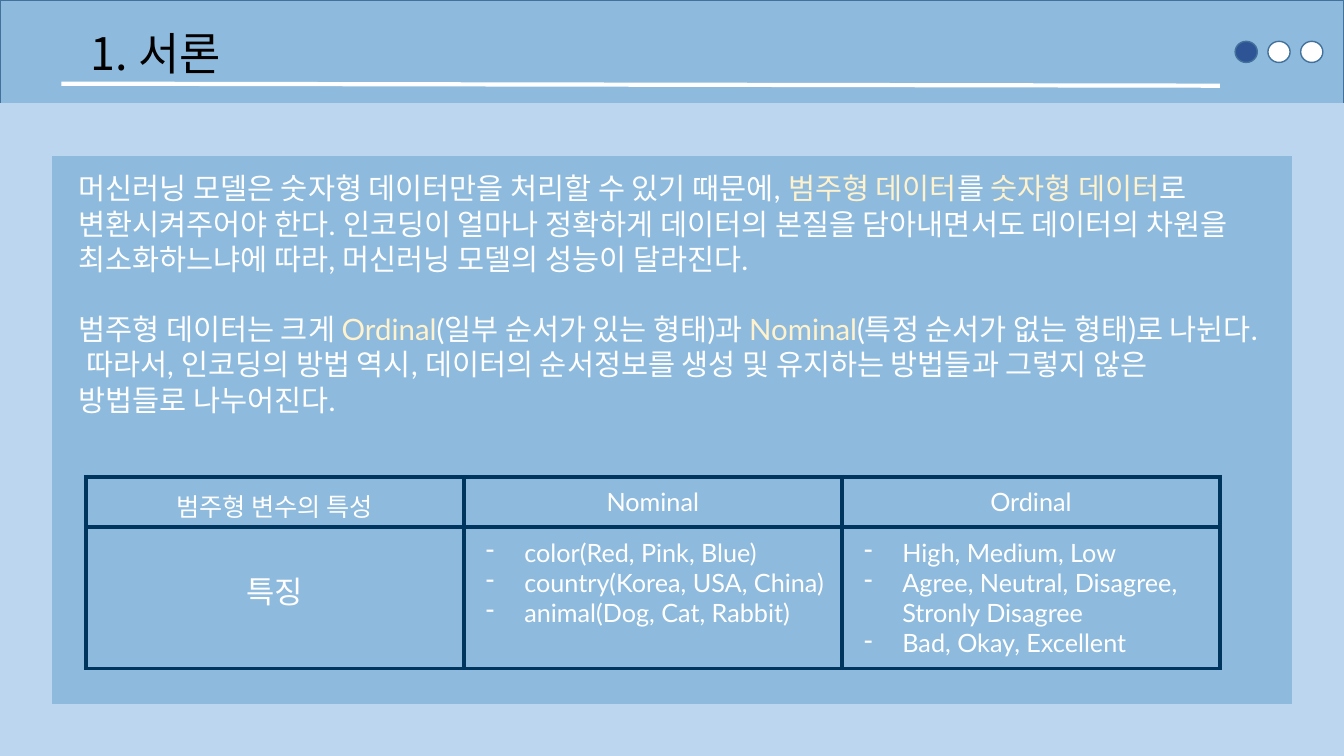
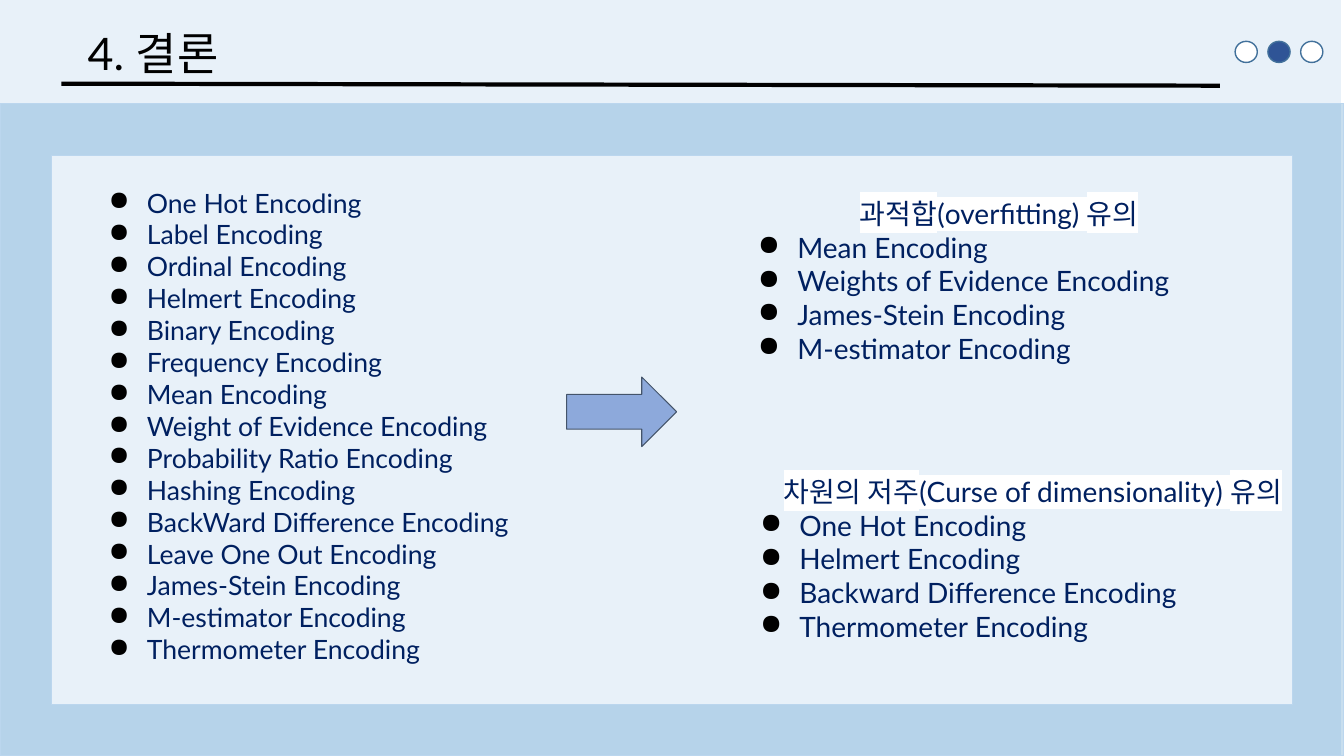
"""Build two slides on categorical data encoding: introduction and conclusion."""
from lxml.etree import SubElement
from pptx import Presentation
from pptx.dml.color import RGBColor
from pptx.enum.shapes import MSO_CONNECTOR, MSO_SHAPE as SHAPE
from pptx.enum.text import MSO_ANCHOR, MSO_AUTO_SIZE, PP_ALIGN as ALIGN
from pptx.oxml.ns import qn
from pptx.util import Inches, Pt

WHITE, BLACK, CREAM = "FFFFFF", "000000", "FFF2CC"
NAVY, TABLE_BLUE, ACTIVE_BLUE = "002060", "00355D", "2F5496"
OUTLINE, PALE_BLUE = "42719B", "BBD6EE"
FONT = "Lato"
rgb = RGBColor.from_string


def paint(shape, fill, line=None, opacity=100, width=1):
    """Set fill, opacity and outline of a shape and drop its shadow."""
    shape.shadow.inherit = False
    shape.fill.solid()
    shape.fill.fore_color.rgb = rgb(fill)
    if opacity < 100:
        color = shape.element.spPr.find(qn("a:solidFill"))[0]
        SubElement(color, qn("a:alpha"), val=str(opacity * 1000))
    if line:
        shape.line.color.rgb = rgb(line)
        shape.line.width = Pt(width)
    else:
        shape.line.fill.background()


def write(frame, lines, size, color, align=ALIGN.LEFT, bullet=None, bullet_color=BLACK, hanging=0.38):
    """Add paragraphs, with parts between bars in cream, and return the last."""
    for line in lines:
        paragraph = frame.add_paragraph() if frame.text else frame.paragraphs[0]
        for index, piece in enumerate(line.split("|")):
            run = paragraph.add_run()
            run.text = piece
            if index % 2:
                run.font.color.rgb = rgb(CREAM)
        paragraph.alignment = align
        if bullet:
            props = paragraph._p.get_or_add_pPr()
            props.set("marL", str(Inches(0.5)))
            props.set("indent", str(-Inches(hanging)))
            SubElement(SubElement(props, qn("a:buClr")), qn("a:srgbClr"), val=bullet_color)
            if bullet == "arabicPeriod":
                SubElement(props, qn("a:buAutoNum"), type=bullet)
            else:
                SubElement(props, qn("a:buChar"), char=bullet)
        paragraph.font.name = FONT
        paragraph.font.size = Pt(size)
        paragraph.font.color.rgb = rgb(color)
    return paragraph


prs = Presentation()
prs.slide_width, prs.slide_height = Inches(13.33), Inches(7.5)

sections = [
    dict(heading="서론", number="arabicPeriod", left=0, back=("066AB5", OUTLINE, 45),
         border=(PALE_BLUE, PALE_BLUE, 100), rule=WHITE),
    dict(heading="4. 결론", number=None, left=-0.03, back=("DDEAF6", None, 65),
         border=("066AB5", PALE_BLUE, 22), rule=BLACK),
]
slides = []
for position, section in enumerate(sections):
    slide = prs.slides.add_slide(prs.slide_layouts[5])
    slides.append(slide)
    backdrop = slide.shapes.add_shape(
        SHAPE.RECTANGLE, Inches(section["left"]), 0, prs.slide_width, prs.slide_height)
    paint(backdrop, *section["back"])
    border = slide.shapes.add_shape(SHAPE.FRAME, 0, Inches(1.03), prs.slide_width, Inches(6.47))
    border.adjustments[0] = 0.079
    paint(border, *section["border"])

    progress = slide.shapes.add_group_shape()
    for step in range(3):
        dot = progress.shapes.add_shape(
            SHAPE.FLOWCHART_CONNECTOR, Inches(12.25 + step * 0.325), Inches(0.41), Inches(0.22), Inches(0.21))
        paint(dot, ACTIVE_BLUE if step == position else WHITE, OUTLINE)

    rule = slide.shapes.add_connector(
        MSO_CONNECTOR.STRAIGHT, Inches(0.61), Inches(0.83), Inches(12.1), Inches(0.85))
    rule.line.color.rgb = rgb(section["rule"])
    rule.line.width = Pt(3)
    SubElement(rule.element.spPr, qn("a:effectLst"))

    title = slide.shapes.title
    title.left, title.top, title.width, title.height = Inches(0.77), Inches(0.2), Inches(4.1), Inches(0.64)
    title.text_frame.auto_size = MSO_AUTO_SIZE.NONE
    title.text_frame.vertical_anchor = MSO_ANCHOR.TOP
    write(title.text_frame, [section["heading"]], 32, BLACK, bullet=section["number"], hanging=0.47)
    title.element.getparent().append(title.element)

intro, conclusion = slides

text_areas = []
for slide, left, top, width, height in [
    (intro, 0.68, 1.59, 11.89, 2.68),
    (conclusion, 7.33, 4.61, 5.83, 1.89),
    (conclusion, 7.31, 1.85, 5.2, 1.89),
    (conclusion, 0.86, 1.75, 5.06, 5),
]:
    frame = slide.shapes.add_textbox(Inches(left), Inches(top), Inches(width), Inches(height)).text_frame
    frame.word_wrap = True
    frame.margin_top = frame.margin_bottom = Inches(0.1)
    text_areas.append(frame)
explanation, dimensionality, overfitting, encodings = text_areas

last = write(explanation, [
    "머신러닝 모델은 숫자형 데이터만을 처리할 수 있기 때문에, |범주형 데이터|를 |숫자형 데이터|로 변환시켜주어야 한다. "
    "인코딩이 얼마나 정확하게 데이터의 본질을 담아내면서도 데이터의 차원을 최소화하느냐에 따라, 머신러닝 모델의 성능이 달라진다.",
    "범주형 데이터는 크게 |Ordinal|(일부 순서가 있는 형태)과 |Nominal|(특정 순서가 없는 형태)로 나뉜다. "
    "따라서, 인코딩의 방법 역시, 데이터의 순서정보를 생성 및 유지하는 방법들과 그렇지 않은 방법들로 나누어진다.",
], 21, WHITE)
last.space_before = Pt(25)

features = intro.shapes.add_table(2, 3, Inches(0.85), Inches(4.73), Inches(11.25), Inches(1.9)).table
features.first_row = features.horz_banding = False
features.rows[0].height, features.rows[1].height = Inches(0.5), Inches(1.4)
for cell in features.iter_cells():
    cell.margin_left = cell.margin_right = cell.margin_top = cell.margin_bottom = Inches(0.1)
    for side in ("a:lnL", "a:lnR", "a:lnT", "a:lnB"):
        edge = SubElement(cell._tc.get_or_add_tcPr(), qn(side), w=str(Pt(3)))
        SubElement(SubElement(edge, qn("a:solidFill")), qn("a:srgbClr"), val=TABLE_BLUE)
    cell.fill.background()

for column, heading in enumerate(["범주형 변수의 특성", "Nominal", "Ordinal"]):
    write(features.cell(0, column).text_frame, [heading], 18, WHITE, ALIGN.CENTER)
features.cell(1, 0).margin_top = Inches(0.4)
write(features.cell(1, 0).text_frame, ["특징"], 22, WHITE, ALIGN.CENTER)
examples = [
    ["color(Red, Pink, Blue)", "country(Korea, USA, China)", "animal(Dog, Cat, Rabbit)"],
    ["High, Medium, Low", "Agree, Neutral, Disagree, Stronly Disagree", "Bad, Okay, Excellent"],
]
for column, lines in enumerate(examples, 1):
    write(features.cell(1, column).text_frame, lines, 18, WHITE, bullet="-", bullet_color=WHITE)

warnings = [
    (dimensionality, "차원의 저주(Curse of dimensionality) 유의",
     ["One Hot Encoding", "Helmert Encoding", "Backward Difference Encoding", "Thermometer Encoding"]),
    (overfitting, "과적합(overfitting) 유의",
     ["Mean Encoding", "Weights of Evidence Encoding", "James-Stein Encoding", "M-estimator Encoding"]),
]
for frame, warning, affected in warnings:
    heading = write(frame, [warning], 20, NAVY, ALIGN.CENTER)
    highlight = SubElement(heading.runs[0]._r.get_or_add_rPr(), qn("a:highlight"))
    SubElement(highlight, qn("a:srgbClr"), val=WHITE)
    write(frame, affected, 20, NAVY, bullet="●", hanging=0.39)

methods = [
    "One Hot", "Label", "Ordinal", "Helmert", "Binary", "Frequency", "Mean", "Weight of Evidence",
    "Probability Ratio", "Hashing", "BackWard Difference", "Leave One Out", "James-Stein",
    "M-estimator", "Thermometer",
]
write(encodings, [f"{method} Encoding" for method in methods], 19, NAVY, bullet="●")

arrow = conclusion.shapes.add_shape(SHAPE.RIGHT_ARROW, Inches(5.62), Inches(3.74), Inches(1.09), Inches(0.69))
paint(arrow, "8DA9DB", "44546A", width=0.75)

prs.save("out.pptx")
